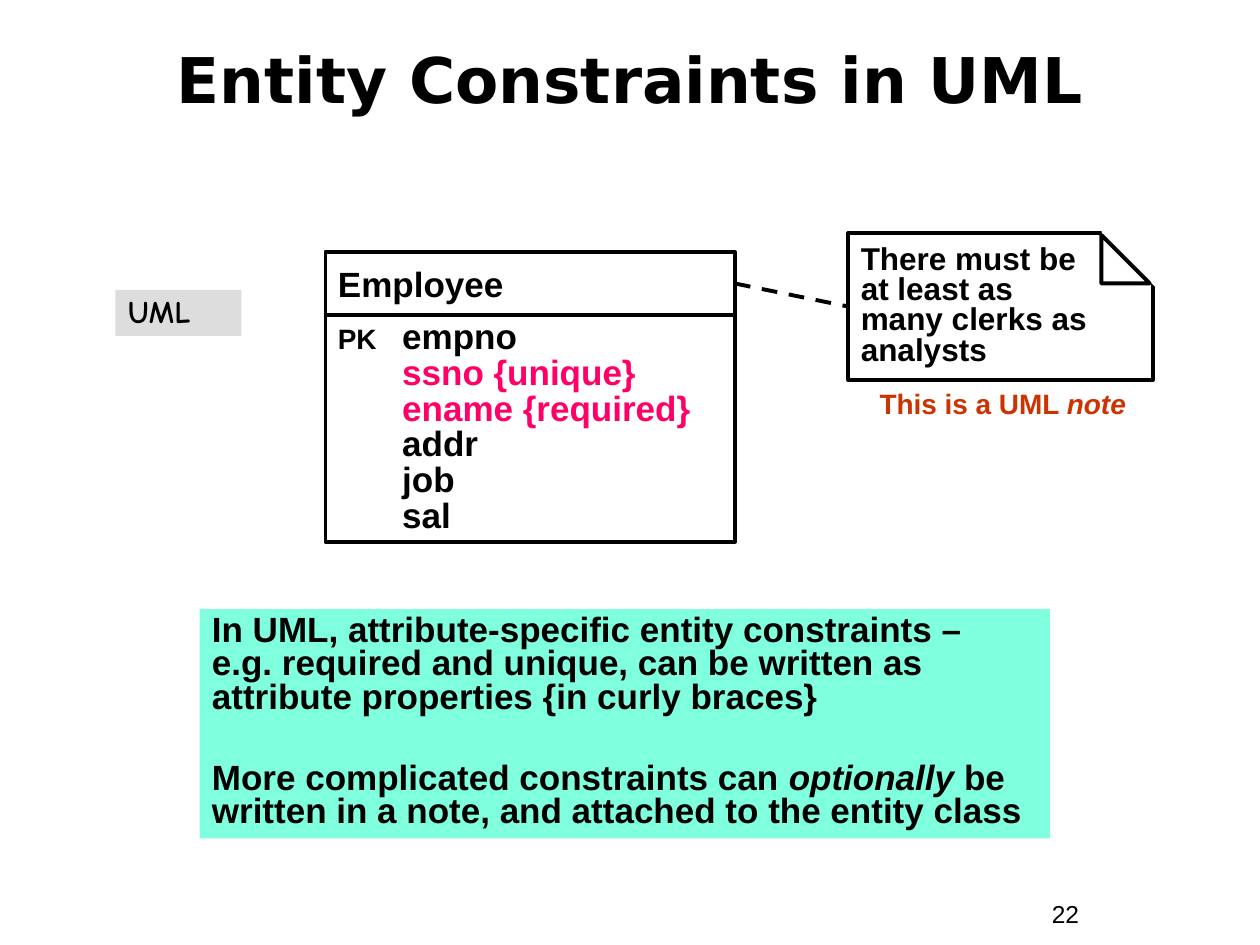
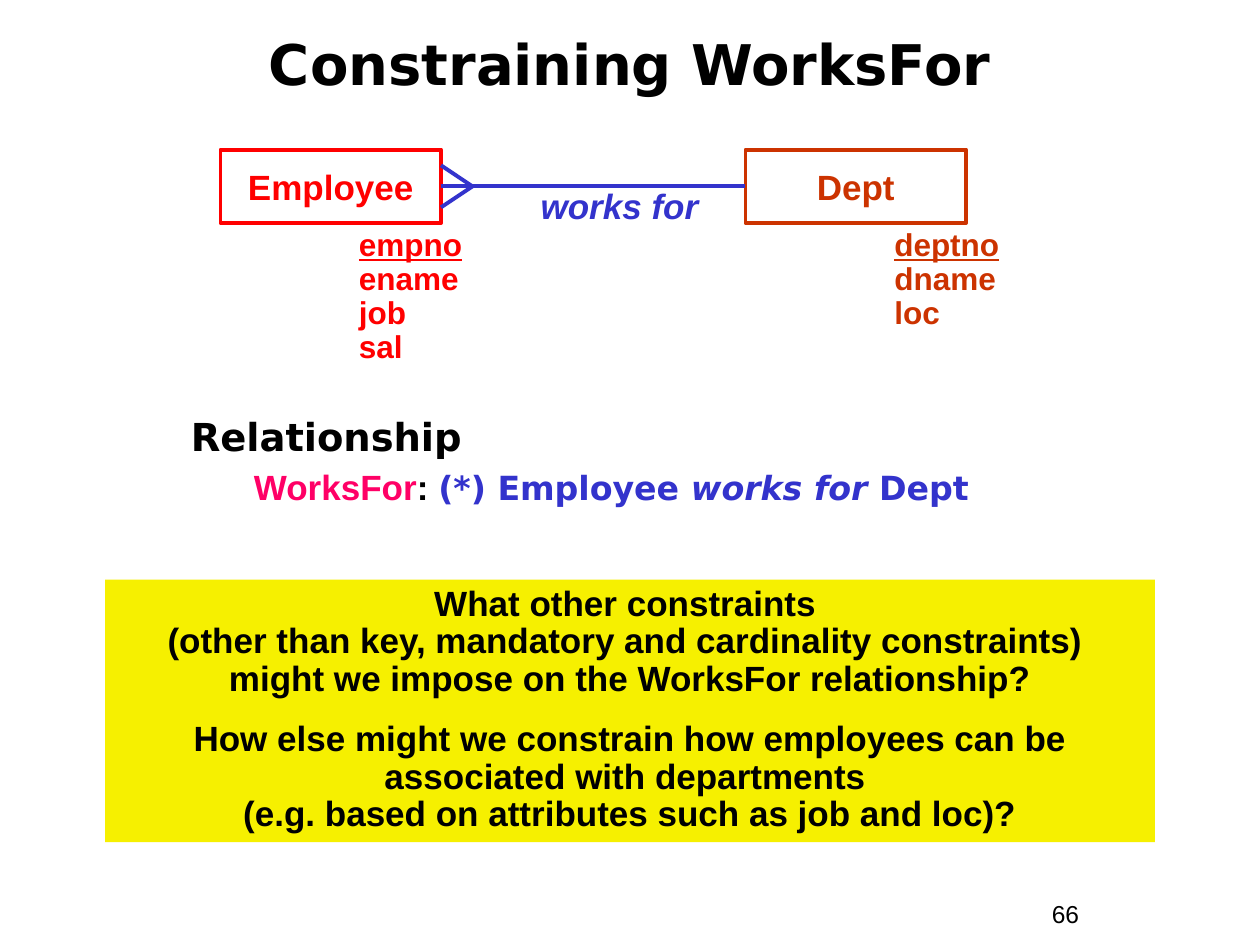
from collections import namedtuple

from lxml.etree import SubElement
from pptx import Presentation
from pptx.dml.color import RGBColor
from pptx.enum.dml import MSO_LINE
from pptx.enum.shapes import MSO_CONNECTOR, MSO_SHAPE
from pptx.enum.text import MSO_ANCHOR, MSO_AUTO_SIZE, PP_ALIGN
from pptx.oxml.ns import qn
from pptx.util import Inches, Pt

COLORS = {"black": "000000", "white": "FFFFFF", "pink": "FF0066", "red": "FF0000",
          "rust": "CC3300", "blue": "3333CC", "mint": "7FFFDD", "yellow": "F6F000",
          "grey": "DDDDDD"}
WIDTH, HEIGHT = Inches(10), Inches(7.5)
COLUMNS, ROWS = 120, 90
LINE_WIDTH = 2.25
BASE = {"name": "Arial", "size": 20, "bold": True, "color": "black"}
HEADING_FONT = "DejaVu Sans"
LEFT, CENTER = PP_ALIGN.LEFT, PP_ALIGN.CENTER
TOP, MIDDLE = MSO_ANCHOR.TOP, MSO_ANCHOR.MIDDLE

Box = namedtuple("Box", "left top width height")


def across(columns):
    """Turn grid columns into a length."""
    return round(WIDTH * columns / COLUMNS)


def down(rows):
    """Turn grid rows into a length."""
    return round(HEIGHT * rows / ROWS)


def measure(box):
    """Turn a grid box into left, top, width and height."""
    return across(box.left), down(box.top), across(box.width), down(box.height)


def rgb(name):
    """Look up a named colour."""
    return RGBColor.from_string(COLORS[name])


def format_font(font, values):
    """Apply a dict of format values to a font."""
    for key, value in values.items():
        if key == "color":
            font.color.rgb = rgb(value)
        else:
            setattr(font, key, Pt(value) if key == "size" else value)


def fill_paragraph(para, spans, style):
    """Write spans of (text, format) into a paragraph, breaking lines at newlines."""
    for text, changes in spans:
        for index, line in enumerate(text.split("\n")):
            if index:
                para.add_line_break()
            if line:
                span = para.add_run()
                span.text = line
                format_font(span.font, {**style, **changes})


def write(shape, paragraphs, style=None, align=LEFT, spacing=1.0, before=0, anchor=TOP, tab=None):
    """Fill a shape with paragraphs, each a plain string or a list of spans."""
    style = {**BASE, **(style or {})}
    frame = shape.text_frame
    frame_format = {"word_wrap": True, "auto_size": MSO_AUTO_SIZE.NONE, "vertical_anchor": anchor}
    for key, value in frame_format.items():
        setattr(frame, key, value)
    for index, content in enumerate(paragraphs):
        para = frame.add_paragraph() if index else frame.paragraphs[0]
        para_format = {"alignment": align, "line_spacing": spacing,
                       "space_before": Pt(before if index else 0)}
        for key, value in para_format.items():
            setattr(para, key, value)
        if tab:
            tabs = SubElement(para._p.get_or_add_pPr(), qn("a:tabLst"))
            SubElement(tabs, qn("a:tab"), pos=str(tab), algn="l")
        format_font(para.font, style)
        fill_paragraph(para, [(content, {})] if isinstance(content, str) else content, style)
    return shape


def add_text(page, box, paragraphs, **options):
    """Add a text box."""
    return write(page.shapes.add_textbox(*measure(box)), paragraphs, **options)


def add_panel(page, box, fill=None, line=None, width=LINE_WIDTH, kind=MSO_SHAPE.RECTANGLE):
    """Add a preset shape with optional fill and outline."""
    panel = page.shapes.add_shape(kind, *measure(box))
    panel.shadow.inherit = False
    if fill:
        panel.fill.solid()
        panel.fill.fore_color.rgb = rgb(fill)
    else:
        panel.fill.background()
    if line:
        panel.line.color.rgb = rgb(line)
        panel.line.width = Pt(width)
    else:
        panel.line.fill.background()
    return panel


def add_line(page, color, start=(0, 0), end=(0, 0), joined=None):
    """Draw a line between grid points or from one shape's right side to another's left."""
    line = page.shapes.add_connector(MSO_CONNECTOR.STRAIGHT, across(start[0]), down(start[1]),
                                     across(end[0]), down(end[1]))
    if joined:
        line.begin_connect(joined[0], 3)
        line.end_connect(joined[1], 1)
    line.line.color.rgb = rgb(color)
    line.line.width = Pt(LINE_WIDTH)
    SubElement(line._element.spPr, qn("a:effectLst"))
    return line


def start_page(deck, title, box, size, number, spacing=1.0):
    """Add a page with its title and page number."""
    page = deck.slides.add_slide(deck.slide_layouts[5])
    heading = page.shapes.title
    for key, value in zip(("left", "top", "width", "height"), measure(box)):
        setattr(heading, key, value)
    write(heading, [title], {"name": HEADING_FONT, "size": size}, CENTER, spacing, anchor=MIDDLE)
    add_text(page, Box(99, 85, 11, 4), [number], style={"size": 14, "bold": False})
    return page


def add_class(page, box, name, key, attributes, header_rows):
    """Draw a UML class and return its header."""
    header = add_panel(page, box._replace(height=header_rows), line="black")
    write(header, [name], anchor=MIDDLE)
    body = add_panel(page, box._replace(top=box.top + header_rows,
                                        height=box.height - header_rows), line="black")
    rows = [[(key if index == 0 else "", {"size": 16}), ("\t" + text, {"color": color})]
            for index, (text, color) in enumerate(attributes)]
    write(body, rows, spacing=0.85, tab=Inches(0.51))
    return header


def add_note(page, box, text, fold):
    """Draw a UML note with a folded corner and a caption, and return its frame."""
    frame = add_panel(page, box, line="black")
    write(frame, [text], {"size": 18}, spacing=0.8, anchor=MIDDLE)
    right = box.left + box.width
    cover = Box(right - fold + 0.2, box.top - 0.2, fold + 0.7, fold + 0.7)
    add_panel(page, cover, "white", "white", 6, MSO_SHAPE.RIGHT_TRIANGLE).rotation = 180
    corner = Box(right - fold - 0.3, box.top + 0.2, fold, fold)
    add_panel(page, corner, "white", "black", kind=MSO_SHAPE.RIGHT_TRIANGLE)
    caption = Box(box.left + 1.2, box.top + box.height + 0.4, 27, 4)
    add_text(page, caption, [[("This is a UML ", {}), ("note", {"italic": True})]],
             style={"size": 16, "color": "rust"}, align=CENTER, spacing=0.9)
    return frame


def add_entity(page, box, name, key, attributes, color, offset):
    """Draw an entity with its attributes below and return its frame."""
    frame = add_panel(page, box, line=color)
    write(frame, [name], {"color": color}, CENTER, anchor=MIDDLE)
    listing = Box(box.left + offset, box.top + box.height, 18, 3.6 * len(attributes) + 4)
    add_text(page, listing, [[(key, {"underline": True})], *attributes],
             style={"size": 18, "color": color}, spacing=0.9)
    return frame


def add_relationship(page, box, entity_width):
    """Draw two entities joined by a crow's foot relationship."""
    entity = box._replace(width=entity_width)
    dept = add_entity(page, entity._replace(left=box.left + box.width - entity_width),
                      "Dept", "deptno", ["dname", "loc"], "rust", 13)
    employee = add_entity(page, entity, "Employee", "empno", ["ename", "job", "sal"], "red", 12)
    add_line(page, "blue", joined=(employee, dept))
    side, middle = box.left + entity_width, box.top + box.height / 2
    for spread in (-2, 2):
        add_line(page, "blue", (side + 3, middle), (side, middle + spread))
    add_text(page, Box(side + 7, middle - 0.8, 20, 5), ["works for"],
             style={"color": "blue", "italic": True}, align=CENTER)


def add_definition(page, box):
    """Write the relationship's heading and its definition."""
    blue = {"name": HEADING_FONT, "size": 19, "color": "blue"}
    definition = [("WorksFor", {"color": "pink"}), (": ", {}), ("(*) Employee ", blue),
                  ("works for", {**blue, "italic": True}), (" Dept", blue)]
    heading = [("Relationship", {"name": HEADING_FONT, "size": 22})]
    shape = add_text(page, box, [heading, definition], spacing=0.9, before=5.9)
    properties = shape.text_frame.paragraphs[1]._p.get_or_add_pPr()
    for key, value in {"marL": Inches(0.75), "indent": Inches(-0.25), "lvl": 1}.items():
        properties.set(key, str(value))


def build_entity_page(deck):
    """Build the page on entity constraints."""
    page = start_page(deck, "Entity Constraints in UML", Box(4, 2, 112, 11), 36, "22")
    summary = add_panel(page, Box(19, 58, 81, 21.84), "mint")
    write(summary, [
        "In UML, attribute-specific entity constraints – \n"
        "e.g. required and unique, can be written as attribute properties {in curly braces}",
        [("More complicated constraints can ", {}), ("optionally", {"italic": True}),
         (" be written in a note, and attached to the entity class", {})],
    ], spacing=0.8, before=27)
    attributes = [("empno", "black"), ("ssno {unique}", "pink"), ("ename {required}", "pink"),
                  ("addr", "black"), ("job", "black"), ("sal", "black")]
    header = add_class(page, Box(31, 24, 39, 27.6), "Employee", "PK", attributes, 6)
    note = add_note(page, Box(80.8, 22.2, 29, 14),
                    "There must be \nat least as \nmany clerks as analysts", 4.6)
    add_line(page, "black", joined=(header, note)).line.dash_style = MSO_LINE.DASH
    tag = add_panel(page, Box(11, 27.6, 12, 4.4), "grey")
    write(tag, ["UML"], {"name": "Comic Neue", "size": 18}, spacing=0.9)


def build_relationship_page(deck):
    """Build the page on constraining a relationship."""
    page = start_page(deck, "Constraining WorksFor", Box(4, 3, 112, 7), 32, "66", 0.85)
    add_relationship(page, Box(21, 14.25, 71, 7), 21)
    question = add_panel(page, Box(10, 55.2, 100, 25), "yellow")
    write(question, [
        "What other constraints \n"
        "(other than key, mandatory and cardinality constraints) \n"
        "might we impose on the WorksFor relationship?",
        "How else might we constrain how employees can be associated with departments \n"
        "(e.g. based on attributes such as job and loc)?",
    ], align=CENTER, spacing=0.9, before=12.5)
    add_definition(page, Box(17, 39.25, 90, 9.75))


def main():
    """Build and save the deck."""
    deck = Presentation()
    deck.slide_width, deck.slide_height = WIDTH, HEIGHT
    build_entity_page(deck)
    build_relationship_page(deck)
    deck.save("out.pptx")


if __name__ == "__main__":
    main()
